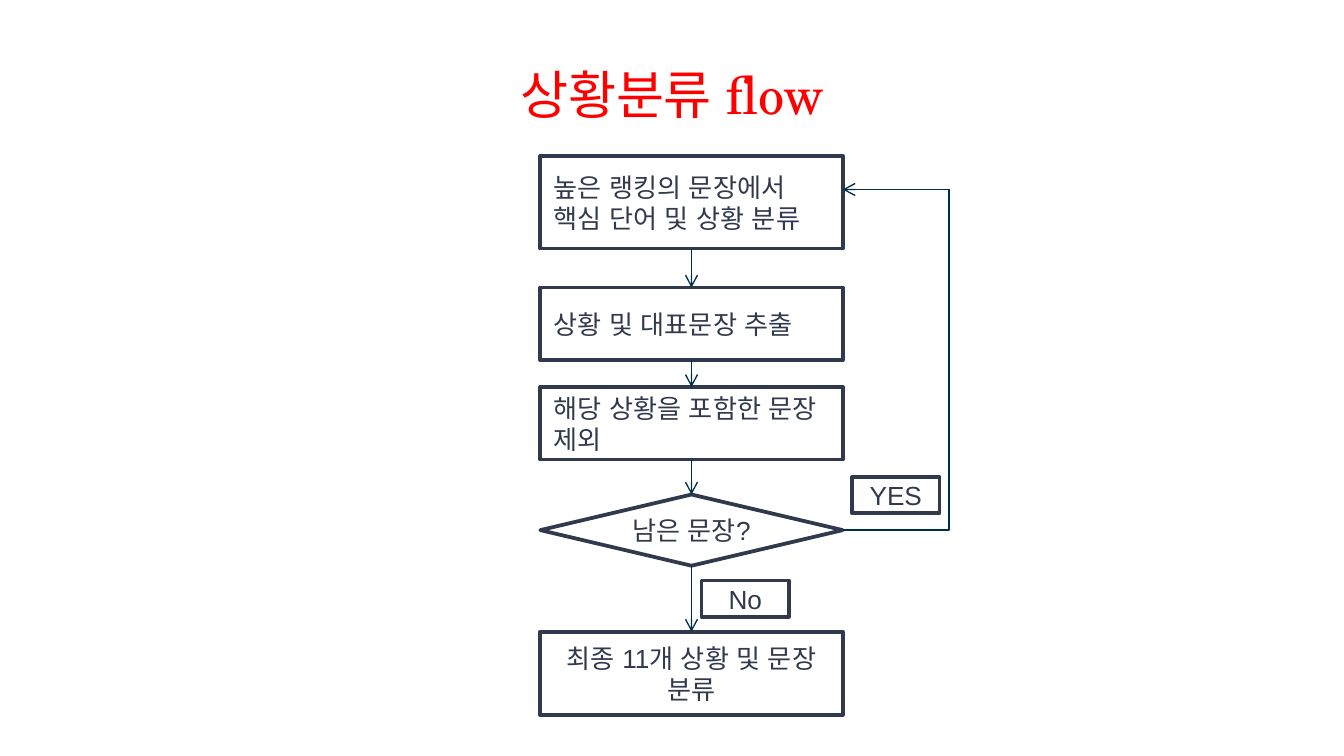
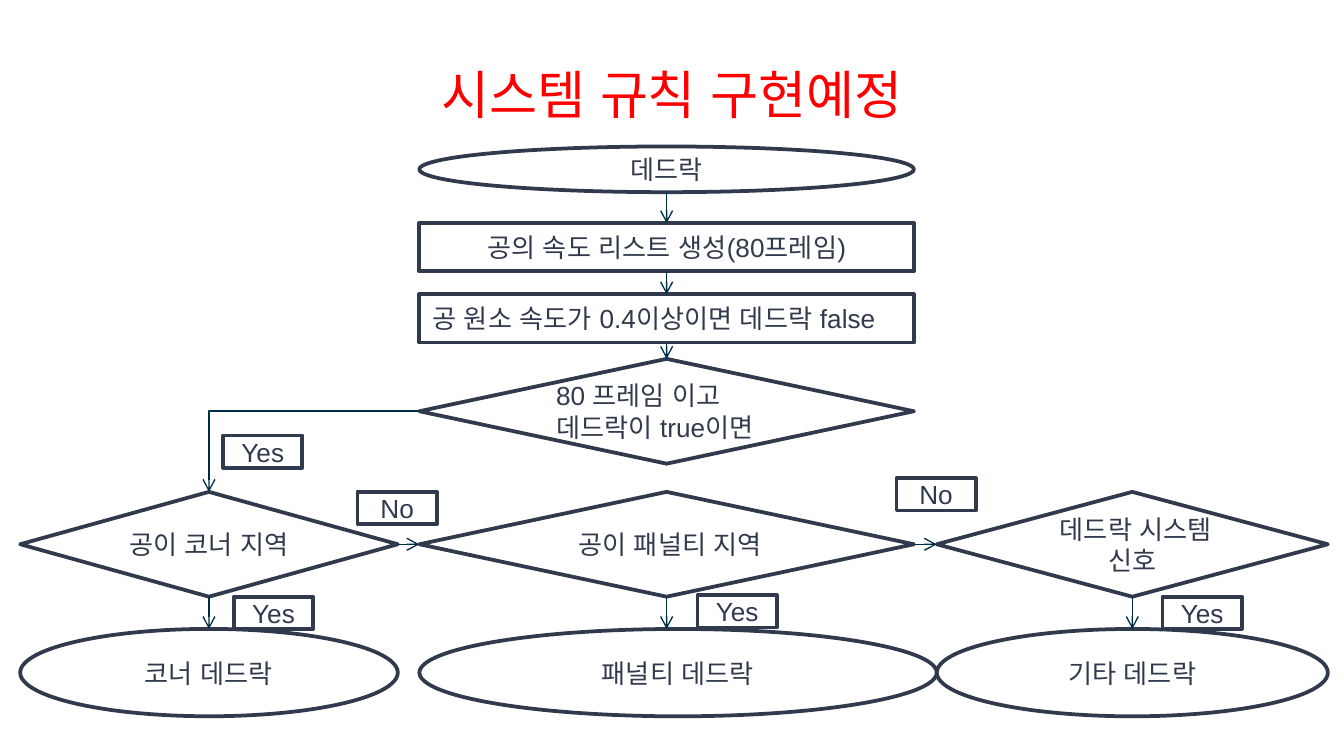
from lxml import etree
from pptx import Presentation
from pptx.dml.color import RGBColor
from pptx.enum.shapes import MSO_CONNECTOR as LINK, MSO_SHAPE as SHAPE
from pptx.enum.text import MSO_ANCHOR as ANCHOR, PP_ALIGN as ALIGN
from pptx.oxml.ns import qn
from pptx.util import Inches, Pt

RED, INK, NAVY, WHITE = "FF0000", "31394D", "002E48", "FFFFFF"
TITLE_FONT, BODY_FONT = "TeX Gyre Schola", "Arial"
TOP, LEFT, BOTTOM, RIGHT = range(4)
BOX, DIAMOND, OVAL = SHAPE.RECTANGLE, SHAPE.DIAMOND, SHAPE.OVAL

# Situation flow: one column of steps (kind, top, height, alignment, lines)
FLOW_TITLE = "상황분류 flow"
FLOW_LEFT, FLOW_WIDTH = 4.02, 2.25
FLOW_STEPS = [
    (BOX, 1.16, 0.69, ALIGN.LEFT, ["높은 랭킹의 문장에서", "핵심 단어 및 상황 분류"]),
    (BOX, 2.14, 0.54, ALIGN.LEFT, ["상황 및 대표문장 추출"]),
    (BOX, 2.88, 0.54, ALIGN.LEFT, ["해당 상황을 포함한 문장 제외"]),
    (DIAMOND, 3.68, 0.53, ALIGN.CENTER, ["남은 문장?"]),
    (BOX, 4.7, 0.62, ALIGN.CENTER, ["최종 11개 상황 및 문장 분류"]),
]
FLOW_ANSWERS = [("YES", 6.34, 3.55), ("No", 5.22, 4.32)]
FLOW_ANSWER_SIZE = (0.65, 0.27)
LOOP_X, LOOP_TOP = 7.06, 1.41

# System rules: a column of checks above three outcome branches
RULES_TITLE = "시스템 규칙 구현예정"
RULES_LEFT, RULES_WIDTH = 3.12, 3.68
RULES_STEPS = [
    (OVAL, 1.09, 0.34, ALIGN.CENTER, ["데드락"]),
    (BOX, 1.66, 0.36, ALIGN.CENTER, ["공의 속도 리스트 생성(80프레임)"]),
    (BOX, 2.19, 0.36, ALIGN.LEFT, ["공 원소 속도가 0.4이상이면 데드락 false"]),
    (DIAMOND, 2.67, 0.78, ALIGN.LEFT, ["80 프레임 이고 데드락이 true이면"]),
]
# left, question width, question, outcome width, outcome
BRANCHES = [
    (0.15, 2.81, "공이 코너 지역", 2.81, "코너 데드락"),
    (3.12, 3.68, " 공이 패널티 지역", 3.85, "패널티 데드락"),
    (6.97, 2.91, " 데드락 시스템 신호", 2.91, "기타 데드락"),
]
QUESTION_TOP, QUESTION_HEIGHT = 3.66, 0.78
OUTCOME_TOP, OUTCOME_HEIGHT = 4.68, 0.65
RULES_ANSWERS = [
    ("Yes", 1.74, 4.44), ("Yes", 5.19, 4.43), ("Yes", 8.65, 4.44),
    ("Yes", 1.66, 3.24), ("No", 2.66, 3.66), ("No", 6.67, 3.56),
]
RULES_ANSWER_SIZE = (0.59, 0.24)


def color(value):
    return RGBColor.from_string(value)


def write(frame, lines, align, size, font, ink):
    frame.word_wrap = True
    frame.vertical_anchor = ANCHOR.MIDDLE
    for i, line in enumerate(lines):
        paragraph = frame.paragraphs[0] if i == 0 else frame.add_paragraph()
        paragraph.alignment = align
        run = paragraph.add_run()
        run.text = line
        run.font.size = Pt(size)
        run.font.name = font
        run.font.color.rgb = color(ink)
        # Korean text takes its spacing from the East Asian font
        etree.SubElement(run.font._element, qn("a:ea"), typeface=font)


def titled_slide(deck, title):
    slide = deck.slides.add_slide(deck.slide_layouts[6])
    heading = slide.shapes.add_textbox(*map(Inches, (0.5, 0.23, 9, 0.94)))
    write(heading.text_frame, [title], ALIGN.CENTER, 28, TITLE_FONT, RED)
    return slide


def add_node(slide, kind, left, top, width, height, lines, align=ALIGN.CENTER):
    node = slide.shapes.add_shape(kind, *map(Inches, (left, top, width, height)))
    node.shadow.inherit = False
    node.fill.solid()
    node.fill.fore_color.rgb = color(WHITE)
    node.line.color.rgb = color(INK)
    node.line.width = Pt(2)
    write(node.text_frame, lines, align, 14, BODY_FONT, INK)
    return node


def site(node, side):
    """Point at the middle of one side of a node."""
    across = {LEFT: 0, RIGHT: node.width}.get(side, node.width // 2)
    down = {TOP: 0, BOTTOM: node.height}.get(side, node.height // 2)
    return node.left + across, node.top + down


def add_link(slide, start, end, bent=False, arrow=True):
    """Link two ends, each a (node, side) pair or a point in inches."""
    ends = (start, end)
    on_node = [not isinstance(e[0], (int, float)) for e in ends]
    points = [site(*e) if n else tuple(map(Inches, e)) for e, n in zip(ends, on_node)]
    link = slide.shapes.add_connector(
        LINK.ELBOW if bent else LINK.STRAIGHT, *points[0], *points[1])
    joins = (link.begin_connect, link.end_connect)
    for join, (node, side), is_node in zip(joins, ends, on_node):
        # An oval numbers its sites differently, except for the top one
        if is_node and (node.auto_shape_type != OVAL or side == TOP):
            join(node, side)
    link.line.color.rgb = color(NAVY)
    link.line.width = Pt(0.75)
    properties = link._element.spPr
    if bent:
        properties.find(qn("a:prstGeom")).set("prst", "bentConnector2")
    if arrow:
        etree.SubElement(properties.find(qn("a:ln")), qn("a:tailEnd"), type="arrow")
    etree.SubElement(properties, qn("a:effectLst"))


def add_column(slide, left, width, steps):
    """Stack steps and link each one to the next."""
    nodes = [add_node(slide, kind, left, top, width, height, lines, align)
             for kind, top, height, align, lines in steps]
    for upper, lower in zip(nodes, nodes[1:]):
        add_link(slide, (upper, BOTTOM), (lower, TOP))
    return nodes


def add_answers(slide, answers, size):
    for answer, left, top in answers:
        add_node(slide, BOX, left, top, *size, [answer])


def build_flow(deck):
    slide = titled_slide(deck, FLOW_TITLE)
    steps = add_column(slide, FLOW_LEFT, FLOW_WIDTH, FLOW_STEPS)
    corner = (LOOP_X, LOOP_TOP)
    add_link(slide, (steps[3], RIGHT), corner, bent=True, arrow=False)
    add_link(slide, corner, (FLOW_LEFT + FLOW_WIDTH, LOOP_TOP))
    add_answers(slide, FLOW_ANSWERS, FLOW_ANSWER_SIZE)


def build_rules(deck):
    slide = titled_slide(deck, RULES_TITLE)
    checks = add_column(slide, RULES_LEFT, RULES_WIDTH, RULES_STEPS)
    questions = []
    for left, question_width, question, outcome_width, outcome in BRANCHES:
        asked = add_node(slide, DIAMOND, left, QUESTION_TOP, question_width,
                         QUESTION_HEIGHT, [question])
        add_node(slide, OVAL, left, OUTCOME_TOP, outcome_width,
                 OUTCOME_HEIGHT, [outcome])
        add_link(slide, (asked, BOTTOM), (left + question_width / 2, OUTCOME_TOP))
        questions.append(asked)
    add_link(slide, (checks[-1], LEFT), (questions[0], TOP), bent=True)
    for asked, following in zip(questions, questions[1:]):
        add_link(slide, (asked, RIGHT), (following, LEFT))
    add_answers(slide, RULES_ANSWERS, RULES_ANSWER_SIZE)


def main():
    deck = Presentation()
    deck.slide_width, deck.slide_height = Inches(10), Inches(5.625)
    build_flow(deck)
    build_rules(deck)
    deck.save("out.pptx")


if __name__ == "__main__":
    main()
